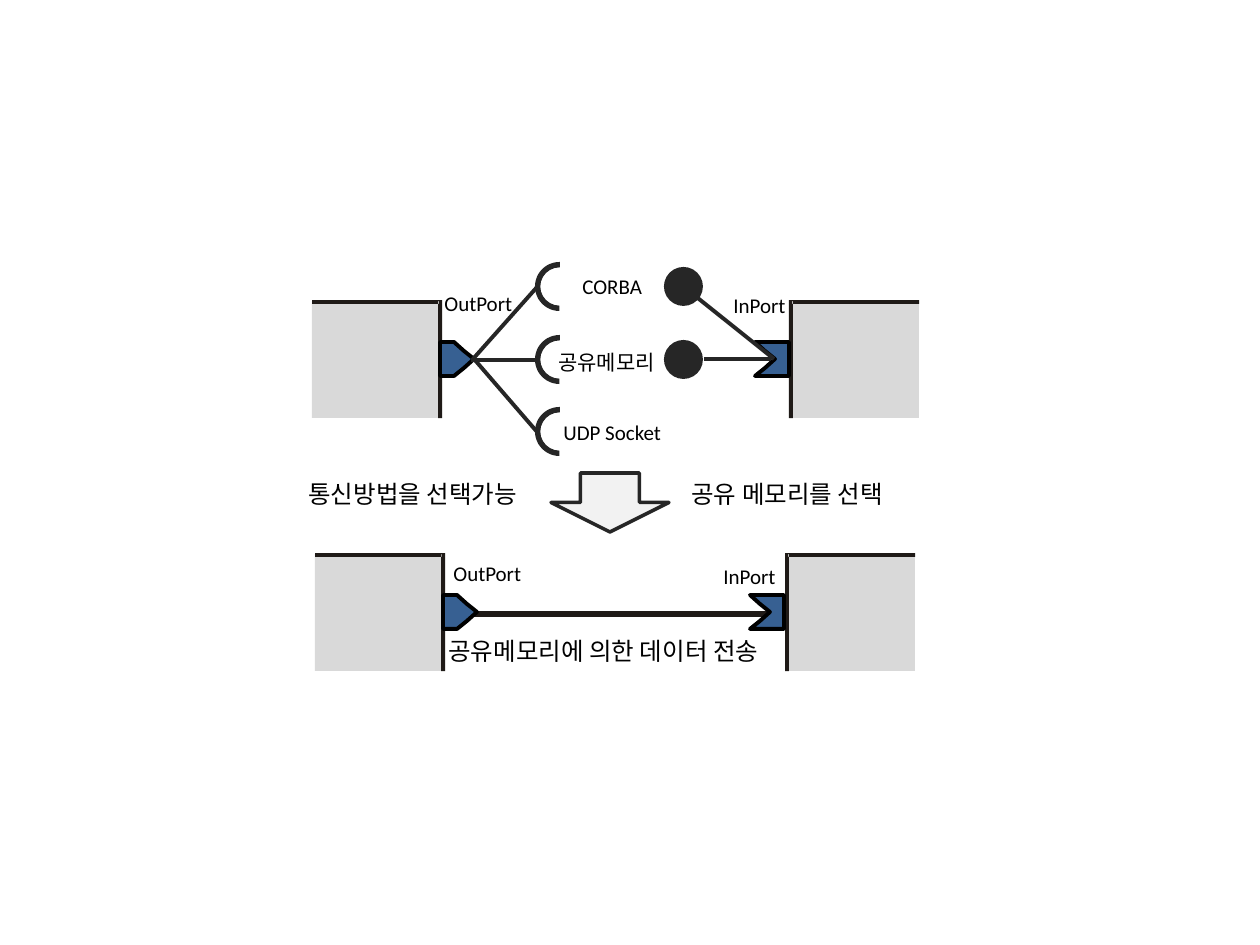
from dataclasses import dataclass
from typing import NamedTuple

from lxml.etree import SubElement
from pptx import Presentation
from pptx.dml.color import RGBColor
from pptx.enum.shapes import MSO_CONNECTOR, MSO_SHAPE as Shape
from pptx.enum.text import MSO_AUTO_SIZE as AutoSize
from pptx.oxml.ns import qn
from pptx.util import Emu, Pt

EMU_PER_PX = 914400 / 126


@dataclass(frozen=True)
class Theme:
    font: str = "Calibri"
    label_size: int = 12
    caption_size: int = 14
    text: str = "000000"
    panel: str = "D9D9D9"
    frame: str = "1F1A17"
    port: str = "376092"
    port_line: str = "000000"
    ink: str = "262626"
    arrow: str = "F2F2F2"
    line_width: float = 2.25
    arrow_width: float = 2


class Component(NamedTuple):
    edge: int
    top: int
    outward: int


class Port(NamedTuple):
    left: int
    top: int
    outline: list


class Label(NamedTuple):
    text: str
    left: int
    top: int
    width: int
    height: int = 38
    size: int = 12


class Link(NamedTuple):
    start: tuple
    end: tuple


THEME = Theme()
OUT_OUTLINE = [(0, 34), (14, 34), (24, 26), (34, 17), (24, 9), (14, 0), (0, 0)]
IN_OUTLINE = [(0, 0), (34, 0), (34, 34), (0, 34), (10, 26), (20, 17), (10, 9)]

COMPONENTS = [
    Component(442, 300, -1), Component(789, 300, 1),
    Component(445, 553, -1), Component(785, 553, 1),
]
PORTS = [
    Port(755, 342, IN_OUTLINE), Port(440, 342, OUT_OUTLINE),
    Port(750, 595, IN_OUTLINE), Port(443, 595, OUT_OUTLINE),
]
LINKS = [
    Link((538, 286), (473, 359)), Link((538, 360), (471, 360)),
    Link((538, 433), (474, 359)), Link((771, 359), (704, 359)),
    Link((774, 359), (684, 287)),
]
LABELS = [
    Label("OutPort", 432, 284, 95), Label("InPort", 721, 286, 78),
    Label("OutPort", 441, 554, 95), Label("InPort", 711, 557, 78),
    Label("CORBA", 570, 267, 86), Label("공유메모리", 546, 343, 131),
    Label("UDP Socket", 551, 413, 125),
    Label("공유 메모리를 선택", 679, 473, 234, 43, THEME.caption_size),
    Label("공유메모리에 의한 데이터 전송", 436, 630, 364, 43, THEME.caption_size),
    Label("통신방법을 선택가능", 296, 473, 253, 43, THEME.caption_size),
]


def px(length: int) -> Emu:
    return Emu(round(length * EMU_PER_PX))


def paint(shape, fill: str, line: str = "", width: float = 0) -> None:
    shape.shadow.inherit = False
    shape.fill.solid()
    shape.fill.fore_color.rgb = RGBColor.from_string(fill)
    if line:
        shape.line.color.rgb = RGBColor.from_string(line)
        shape.line.width = Pt(width)
    else:
        shape.line.fill.background()


def add_preset(slide, kind: Shape, box: tuple, fill: str, line: str = "", width: float = 0):
    shape = slide.shapes.add_shape(kind, *map(px, box))
    paint(shape, fill, line, width)
    return shape


def add_outline(slide, contours: list, fill: str, line: str = "", width: float = 0) -> None:
    first, *others = contours
    builder = slide.shapes.build_freeform(*first[0], scale=EMU_PER_PX)
    builder.add_line_segments(first[1:], close=True)
    for contour in others:
        builder.move_to(*contour[0])
        builder.add_line_segments(contour[1:], close=True)
    paint(builder.convert_to_shape(), fill, line, width)


def add_component(slide, component: Component) -> None:
    edge, top, outward = component
    inner, side, far = (edge + outward * offset for offset in (3, 4, 130))
    add_preset(slide, Shape.RECTANGLE, (min(inner, far), top + 1, 127, 117), THEME.panel)
    bars = [
        (far, inner, top, top + 4),
        (inner, edge, top, top + 1),
        (edge, side, top + 1, top + 118),
    ]
    contours = [[(x1, y1), (x2, y1), (x2, y2), (x1, y2)] for x1, x2, y1, y2 in bars]
    contours[2] = [contours[2][i] for i in (0, 3, 2, 1)]
    add_outline(slide, contours, THEME.frame)


def add_port(slide, port: Port) -> None:
    points = [(port.left + x, port.top + y) for x, y in port.outline]
    add_outline(slide, [points], THEME.port, THEME.port_line, THEME.line_width)


def add_link(slide, link: Link) -> None:
    connector = slide.shapes.add_connector(
        MSO_CONNECTOR.STRAIGHT, *map(px, link.start + link.end))
    connector.line.color.rgb = RGBColor.from_string(THEME.ink)
    connector.line.width = Pt(THEME.line_width)
    SubElement(connector._element.spPr, qn("a:effectLst"))


def add_text(slide, text: str, *, box: tuple, size: int, color: str = THEME.text) -> None:
    frame = slide.shapes.add_textbox(*map(px, box)).text_frame
    frame.word_wrap = False
    frame.auto_size = AutoSize.SHAPE_TO_FIT_TEXT
    run = frame.paragraphs[0].add_run()
    run.text = text
    run.font.name = THEME.font
    run.font.size = Pt(size)
    run.font.color.rgb = RGBColor.from_string(color)


def add_socket(slide, top: int) -> None:
    socket = add_preset(slide, Shape.BLOCK_ARC, (535, top, 49, 49), THEME.ink)
    socket.rotation = 270
    for index, value in enumerate((108, 0.67, 0.11)):
        socket.adjustments[index] = value


def main() -> None:
    presentation = Presentation()
    presentation.slide_width, presentation.slide_height = px(1260), px(945)
    slide = presentation.slides.add_slide(presentation.slide_layouts[6])

    add_preset(slide, Shape.RECTANGLE, (467, 611, 302, 6), THEME.frame)
    for component in COMPONENTS:
        add_component(slide, component)
    for port in PORTS:
        add_port(slide, port)
    for top in (262, 335, 407):
        add_socket(slide, top)
    for top in (267, 340):
        add_preset(slide, Shape.OVAL, (664, top, 39, 39), THEME.ink)
    for link in LINKS:
        add_link(slide, link)
    add_preset(slide, Shape.DOWN_ARROW, (551, 473, 118, 59),
               THEME.arrow, THEME.ink, THEME.arrow_width)
    for label in LABELS:
        add_text(slide, label.text, box=label[1:5], size=label.size)

    presentation.save("out.pptx")


if __name__ == "__main__":
    main()
